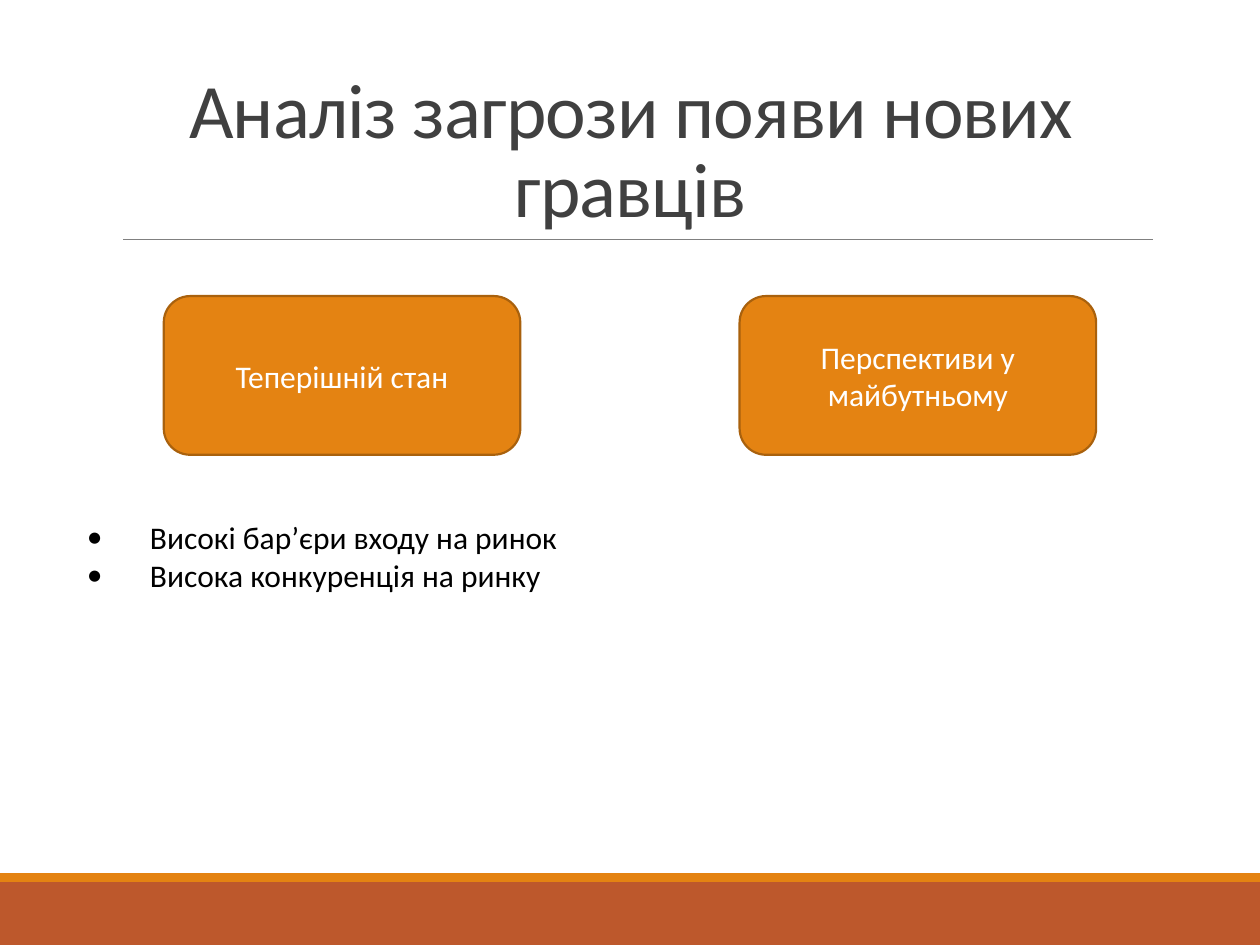
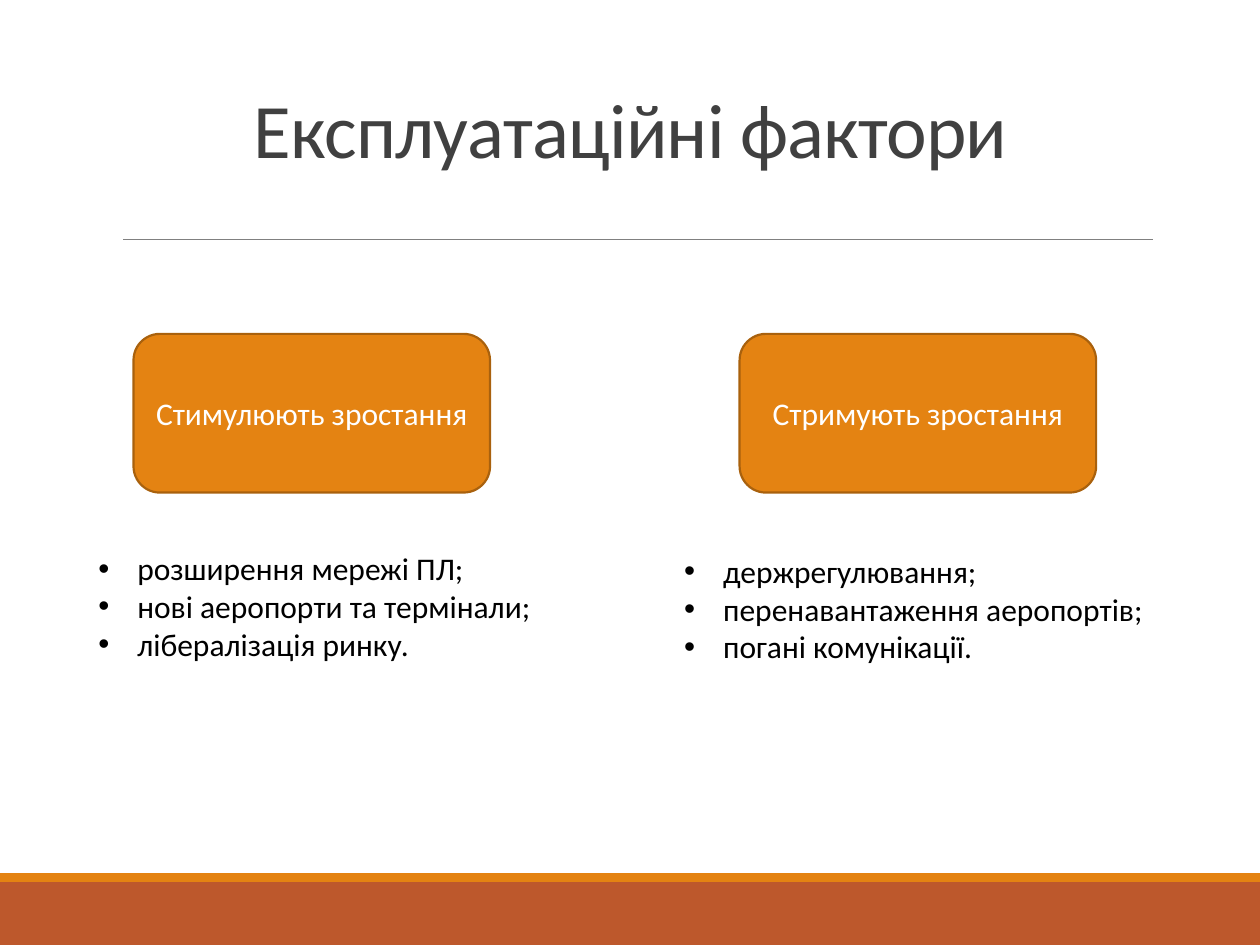
"""Build two slides on market entry threats and operating factors."""
from lxml import etree
from pptx import Presentation
from pptx import util as u
from pptx.dml.color import RGBColor
from pptx.enum import shapes, text
from pptx.oxml import ns

FONT = "Calibri"
RUST, ORANGE, EDGE = "BD582C", "E48312", "A9610D"
GREY, DARK, BLACK, WHITE = "808080", "404040", "000000", "FFFFFF"
BANDS = [((0, 7, 10, 0.5), RUST), ((0, 6.93, 10, 0.07), ORANGE)]
RULE = (0.98, 1.9, 9.15, 1.9)
BOX_W, BOX_H = 2.83, 1.26

SLIDES = [
    {
        "title": ("Аналіз загрози появи нових гравців", (0.88, 0.31, 8.25, 1.59)),
        "box_top": 2.35,
        "boxes": [(1.3, "Теперішній стан"), (5.87, "Перспективи у майбутньому")],
        "bullet": (FONT, 0.5),
        "lists": [
            ((0.59, 4.06, 4.02, 0.71),
             ["Високі бар’єри входу на ринок", "Висока конкуренція на ринку"]),
        ],
    },
    {
        "title": ("Експлуатаційні фактори", (0.88, 0.6, 8.25, 0.83)),
        "box_top": 2.65,
        "boxes": [(1.06, "Стимулюють зростання"), (5.87, "Стримують зростання")],
        "bullet": ("Arial", 0.31),
        "lists": [
            ((0.68, 4.31, 3.77, 1.01),
             ["розширення мережі ПЛ;", "нові аеропорти та термінали;",
              "лібералізація ринку."]),
            ((5.33, 4.33, 3.91, 1.01),
             ["держрегулювання;", "перенавантаження аеропортів;",
              "погані комунікації."]),
        ],
    },
]


def rgb(value):
    return RGBColor.from_string(value)


def place(sp, at):
    sp.left, sp.top, sp.width, sp.height = map(u.Inches, at)


def frame(sp, anchor):
    tf = sp.text_frame
    tf.word_wrap = True
    tf.auto_size = text.MSO_AUTO_SIZE.NONE
    tf.vertical_anchor = anchor
    return tf


def add_run(p, words, size, color):
    r = p.add_run()
    r.text = words
    r.font.name = FONT
    r.font.size = u.Pt(size)
    r.font.color.rgb = rgb(color)
    return r


def add_block(slide, kind, at, fill, line=None):
    sp = slide.shapes.add_shape(kind, *map(u.Inches, at))
    sp.shadow.inherit = False
    sp.fill.solid()
    sp.fill.fore_color.rgb = rgb(fill)
    if line:
        sp.line.color.rgb = rgb(line)
        sp.line.width = u.Pt(1.25)
    else:
        sp.line.fill.background()
    return sp


def add_theme(slide):
    for at, fill in BANDS:
        add_block(slide, shapes.MSO_SHAPE.RECTANGLE, at, fill)
    rule = slide.shapes.add_connector(shapes.MSO_CONNECTOR.STRAIGHT, *map(u.Inches, RULE))
    rule.line.color.rgb = rgb(GREY)
    rule.line.width = u.Pt(0.5)
    etree.SubElement(rule._element.spPr, ns.qn("a:effectLst"))


def fill_title(sp, words, at):
    place(sp, at)
    p = frame(sp, text.MSO_ANCHOR.BOTTOM).paragraphs[0]
    p.alignment = text.PP_ALIGN.CENTER
    p.line_spacing = 0.85
    r = add_run(p, words, 44, DARK)
    r.font._element.set("spc", "-50")


def add_box(slide, left, top, words):
    sp = add_block(slide, shapes.MSO_SHAPE.ROUNDED_RECTANGLE,
                   (left, top, BOX_W, BOX_H), ORANGE, EDGE)
    p = frame(sp, text.MSO_ANCHOR.MIDDLE).paragraphs[0]
    p.alignment = text.PP_ALIGN.CENTER
    add_run(p, words, 18, WHITE)


def fill_list(sp, at, items, font, indent):
    place(sp, at)
    tf = frame(sp, text.MSO_ANCHOR.TOP)
    for i, item in enumerate(items):
        p = tf.add_paragraph() if i else tf.paragraphs[0]
        p.space_before = u.Pt(0)
        add_run(p, item, 18, BLACK)
        pPr = p._p.get_or_add_pPr()
        pPr.set("marL", str(u.Inches(indent)))
        pPr.set("indent", str(-u.Inches(indent)))
        etree.SubElement(pPr, ns.qn("a:buFont"), typeface=font)
        etree.SubElement(pPr, ns.qn("a:buChar"), char="•")


def main():
    prs = Presentation()
    prs.slide_width, prs.slide_height = u.Inches(10), u.Inches(7.5)
    for data in SLIDES:
        slide = prs.slides.add_slide(prs.slide_layouts.get_by_name("Two Content"))
        title, *bodies = slide.placeholders
        add_theme(slide)
        fill_title(title, *data["title"])
        for left, words in data["boxes"]:
            add_box(slide, left, data["box_top"], words)
        for sp, (at, items) in zip(bodies, data["lists"]):
            fill_list(sp, at, items, *data["bullet"])
        for sp in bodies[len(data["lists"]):]:
            sp._element.getparent().remove(sp._element)
    prs.save("out.pptx")


if __name__ == "__main__":
    main()
